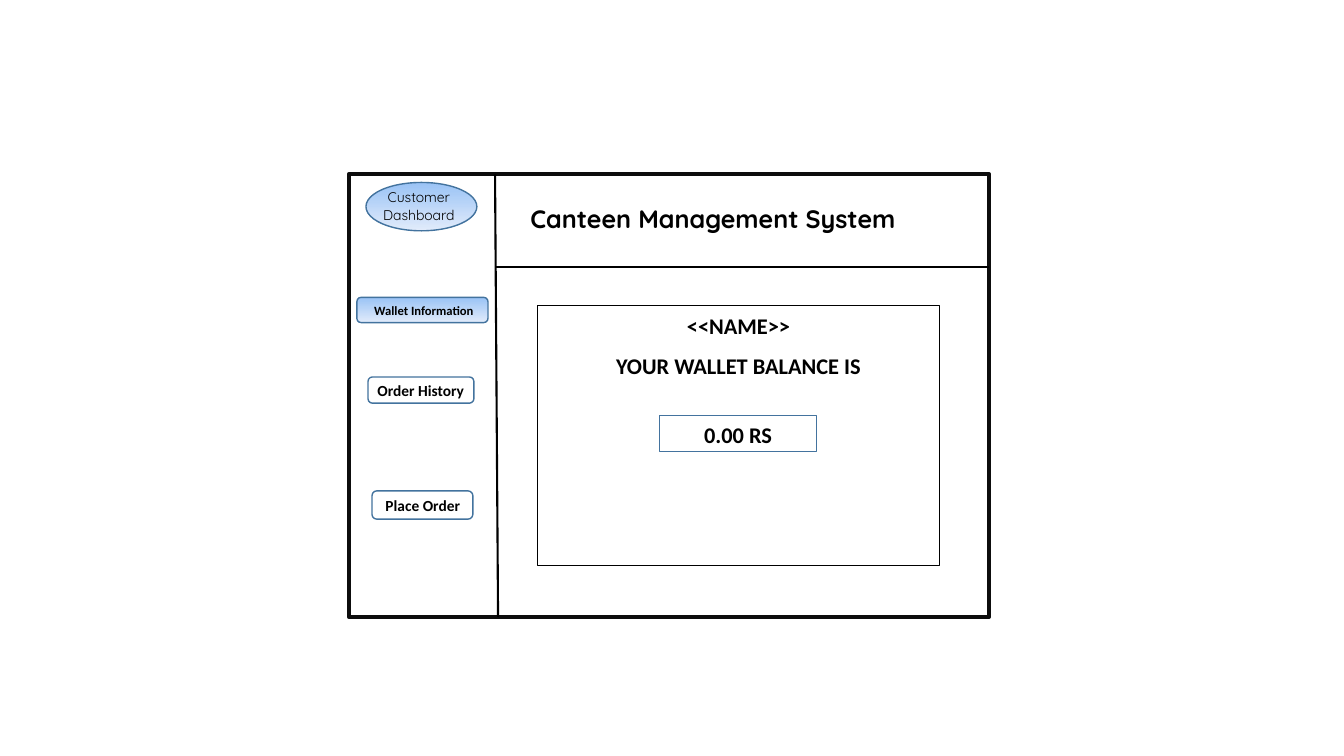
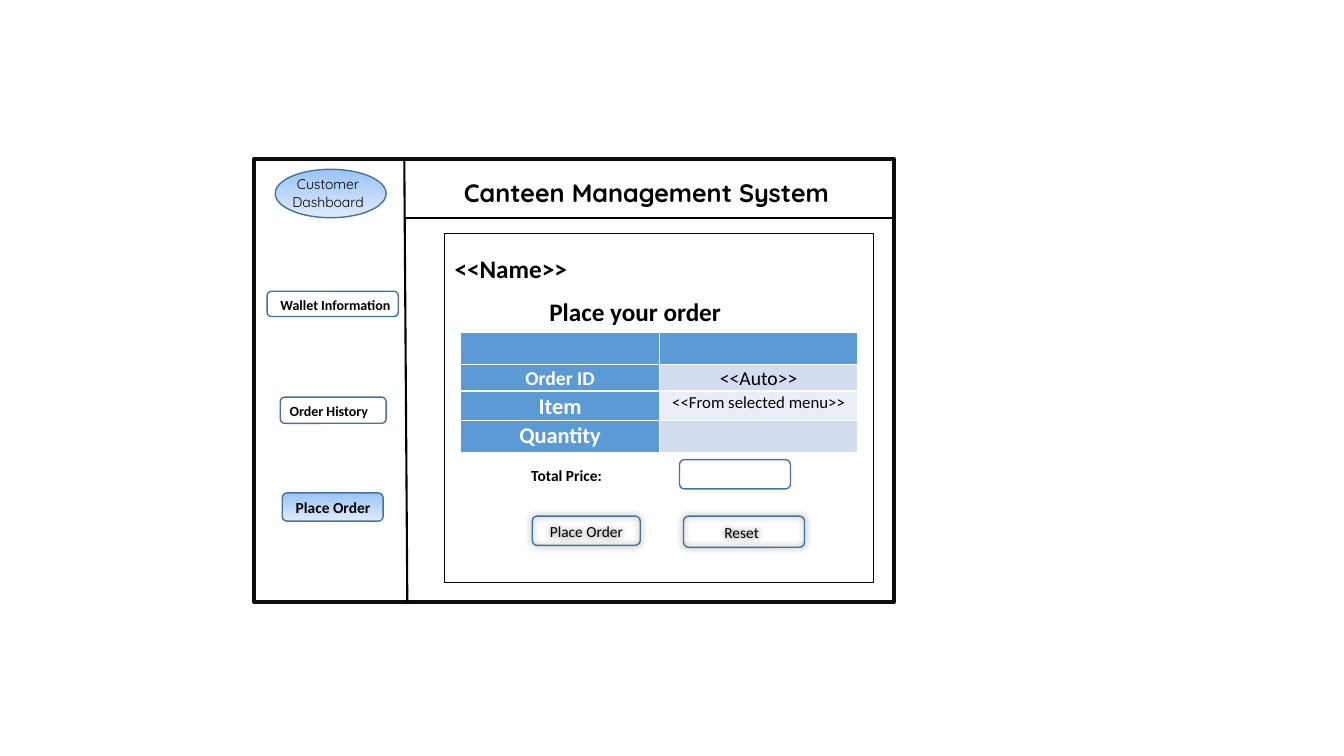
from pptx import Presentation
from pptx.dml.color import RGBColor
from pptx.enum.shapes import MSO_CONNECTOR, MSO_SHAPE
from pptx.enum.text import MSO_ANCHOR, MSO_AUTO_SIZE, PP_ALIGN
from pptx.oxml.ns import qn
from pptx.util import Inches, Pt
from lxml.etree import SubElement

BLACK = RGBColor(0, 0, 0)
WHITE = RGBColor(255, 255, 255)
FRAME_LINE = RGBColor(0x0D, 0x0D, 0x0D)
BUTTON_LINE = RGBColor(0x43, 0x73, 0x9E)
ACTIVE_TOP = RGBColor(0x9A, 0xC3, 0xF5)
ACTIVE_BOTTOM = RGBColor(0xE1, 0xEB, 0xFB)
TABLE_BLUE = RGBColor(0x5B, 0x9B, 0xD5)
BAND_DARK = RGBColor(0xD2, 0xDE, 0xEF)
BAND_LIGHT = RGBColor(0xEA, 0xEF, 0xF7)

BODY_FONT, TITLE_FONT = "Calibri", "Quicksand"
LINE_SPACING = 1.07
FRAME_SIZE = (6.35, 4.39)
SLANT = 0.03
BADGE_SIZE = (1.1, 0.48)
MENU_SIZES = {"Wallet Information": (1.3, 0.25), "Order History": (1.05, 0.26), "Place Order": (1, 0.28)}
SYSTEM_NAME = "Canteen Management System"
BADGE_LINES = ["Customer", "Dashboard"]

WALLET = {
    "frame": (3.46, 1.73), "divider": 4.91, "header": 2.65, "title": (5.16, 1.95), "badge": (3.63, 1.81),
    "active": "Wallet Information",
    "menu": [("Wallet Information", 3.54, 2.95, 9, 0.16),
             ("Order History", 3.65, 3.74, 11, 0.08),
             ("Place Order", 3.69, 4.87, 11, 0.12)],
}
ORDER = {
    "frame": (2.52, 1.58), "divider": 4.01, "header": 2.16, "title": (4.5, 1.69), "badge": (2.73, 1.68),
    "active": "Place Order",
    "menu": [("Wallet Information", 2.65, 2.89, 10, 0.12),
             ("Order History", 2.78, 3.94, 10, 0.08),
             ("Place Order", 2.8, 4.89, 11, 0.12)],
}
BALANCE_LINES = ["<<NAME>>", "YOUR WALLET BALANCE IS"]
BALANCE = "0.00 RS"
ORDER_LINES = [("<<Name>>", 0), ("Place your order", 0.94)]
ORDER_ROWS = [("", "", 0.32, 18, 18, TABLE_BLUE),
              ("Order ID", "<<Auto>>", 0.26, 14, 14, BAND_DARK),
              ("Item", "<<From selected menu>>", 0.29, 16, 12, BAND_LIGHT),
              ("Quantity", "", 0.32, 16, 18, BAND_DARK)]
ORDER_ACTIONS = [("Place Order", (5.28, 5.12, 1.07, 0.29), 0.16),
                 ("Reset", (6.78, 5.12, 1.2, 0.31), 0.39)]


def inches(values):
    return [Inches(value) for value in values]


def write(paragraph, text, size, bold=False, align=PP_ALIGN.LEFT, color=BLACK, font=BODY_FONT, after=0):
    paragraph.alignment = align
    paragraph.line_spacing = LINE_SPACING
    paragraph.space_after = Pt(after)
    run = paragraph.add_run()
    run.text = text
    run.font.name, run.font.size, run.font.bold = font, Pt(size), bold
    run.font.color.rgb = color


def set_frame(frame, margins=(0, 0, 0, 0), anchor=MSO_ANCHOR.MIDDLE, wrap=True):
    frame.margin_left, frame.margin_top, frame.margin_right, frame.margin_bottom = inches(margins)
    frame.vertical_anchor = anchor
    frame.word_wrap = wrap
    frame.auto_size = MSO_AUTO_SIZE.NONE


def add_outline(slide, kind, box, line=BUTTON_LINE, width=1, fill=None):
    outline = slide.shapes.add_shape(kind, *inches(box))
    outline.shadow.inherit = False
    outline.line.color.rgb = line
    outline.line.width = Pt(width)
    if fill:
        outline.fill.solid()
        outline.fill.fore_color.rgb = fill
    else:
        outline.fill.background()
    return outline


def highlight(outline):
    outline.fill.gradient()
    outline.fill.gradient_angle = 270
    for stop, color in zip(outline.fill.gradient_stops, (ACTIVE_TOP, ACTIVE_BOTTOM)):
        stop.color.rgb = color


def add_glow(outline):
    effects = outline.element.spPr.find(qn("a:effectLst"))
    shadow = SubElement(effects, qn("a:outerShdw"), blurRad="63500", dist="0", dir="0", rotWithShape="0")
    color = SubElement(shadow, qn("a:srgbClr"), val="000000")
    SubElement(color, qn("a:alpha"), val="60000")


def add_button(slide, label, box, size, indent, bold=True):
    button = add_outline(slide, MSO_SHAPE.ROUNDED_RECTANGLE, box)
    set_frame(button.text_frame, (indent, 0, 0, 0), wrap=False)
    write(button.text_frame.paragraphs[0], label, size, bold)
    return button


def add_rule(slide, start, end):
    rule = slide.shapes.add_connector(MSO_CONNECTOR.STRAIGHT, *inches(start + end))
    rule.line.color.rgb = BLACK
    rule.line.width = Pt(1.5)
    SubElement(rule.element.spPr, qn("a:effectLst"))


def add_screen(deck, screen):
    slide = deck.slides.add_slide(deck.slide_layouts[5])
    left, top = screen["frame"]
    width, height = FRAME_SIZE
    divider, header = screen["divider"], screen["header"]
    add_outline(slide, MSO_SHAPE.RECTANGLE, (left, top, width, height), FRAME_LINE, 3)
    add_rule(slide, (divider, header), (left + width, header))
    add_rule(slide, (divider, top), (divider + SLANT, top + height))

    title = slide.shapes.title
    title.left, title.top, title.width, title.height = inches(screen["title"] + (3.84, 0.4))
    set_frame(title.text_frame, (0.1, 0.02, 0, 0), wrap=False)
    write(title.text_frame.paragraphs[0], SYSTEM_NAME, 18, True, font=TITLE_FONT)

    badge = add_outline(slide, MSO_SHAPE.OVAL, screen["badge"] + BADGE_SIZE)
    highlight(badge)
    set_frame(badge.text_frame, (0, 0, 0.05, 0.02), wrap=False)
    for index, line in enumerate(BADGE_LINES):
        paragraph = badge.text_frame.add_paragraph() if index else badge.text_frame.paragraphs[0]
        write(paragraph, line, 10, align=PP_ALIGN.CENTER, font=TITLE_FONT)

    for label, x, y, size, indent in screen["menu"]:
        button = add_button(slide, label, (x, y) + MENU_SIZES[label], size, indent)
        if label == screen["active"]:
            highlight(button)
    return slide


def add_panel(slide, box, lines, size, inset_top, align):
    panel = add_outline(slide, MSO_SHAPE.RECTANGLE, box, BLACK, 0.75, WHITE)
    set_frame(panel.text_frame, (0.1, inset_top, 0.1, 0.05), MSO_ANCHOR.TOP)
    for index, (line, indent) in enumerate(lines):
        paragraph = panel.text_frame.add_paragraph() if index else panel.text_frame.paragraphs[0]
        write(paragraph, line, size, True, align, after=8)
        if indent:
            paragraph._p.get_or_add_pPr().set("marL", str(Inches(indent)))


def add_order_table(slide):
    heights = [row[2] for row in ORDER_ROWS]
    table = slide.shapes.add_table(len(ORDER_ROWS), 2, *inches((4.57, 3.3, 3.94, sum(heights)))).table
    for index, (label, value, height, label_size, value_size, band) in enumerate(ORDER_ROWS):
        table.rows[index].height = Inches(height)
        cells = [(label, label_size, True, WHITE, TABLE_BLUE), (value, value_size, False, BLACK, band)]
        for column, (text, size, bold, color, fill) in enumerate(cells):
            cell = table.cell(index, column)
            cell.margin_left = cell.margin_right = Inches(0.07)
            cell.margin_top = cell.margin_bottom = 0
            cell.fill.solid()
            cell.fill.fore_color.rgb = fill
            if text:
                write(cell.text_frame.paragraphs[0], text, size, bold, PP_ALIGN.CENTER, color)


def add_wallet_content(slide):
    lines = [(line, 0) for line in BALANCE_LINES]
    add_panel(slide, (5.33, 3.03, 3.99, 2.58), lines, 16, 0.05, PP_ALIGN.CENTER)
    amount = add_outline(slide, MSO_SHAPE.RECTANGLE, (6.54, 4.12, 1.56, 0.36))
    set_frame(amount.text_frame)
    write(amount.text_frame.paragraphs[0], BALANCE, 16, True, PP_ALIGN.CENTER)


def add_order_content(slide):
    add_panel(slide, (4.41, 2.32, 4.25, 3.46), ORDER_LINES, 18, 0.17, PP_ALIGN.LEFT)
    add_order_table(slide)
    total = slide.shapes.add_textbox(*inches((5.17, 4.56, 1.05, 0.29)))
    set_frame(total.text_frame, (0.1, 0, 0, 0))
    write(total.text_frame.paragraphs[0], "Total Price:", 11, True)
    add_outline(slide, MSO_SHAPE.ROUNDED_RECTANGLE, (6.74, 4.56, 1.1, 0.29))
    for label, box, indent in ORDER_ACTIONS:
        add_glow(add_button(slide, label, box, 11, indent, False))


def main():
    deck = Presentation()
    deck.slide_width, deck.slide_height = inches((13.33, 7.5))
    add_wallet_content(add_screen(deck, WALLET))
    add_order_content(add_screen(deck, ORDER))
    deck.save("out.pptx")


if __name__ == "__main__":
    main()
